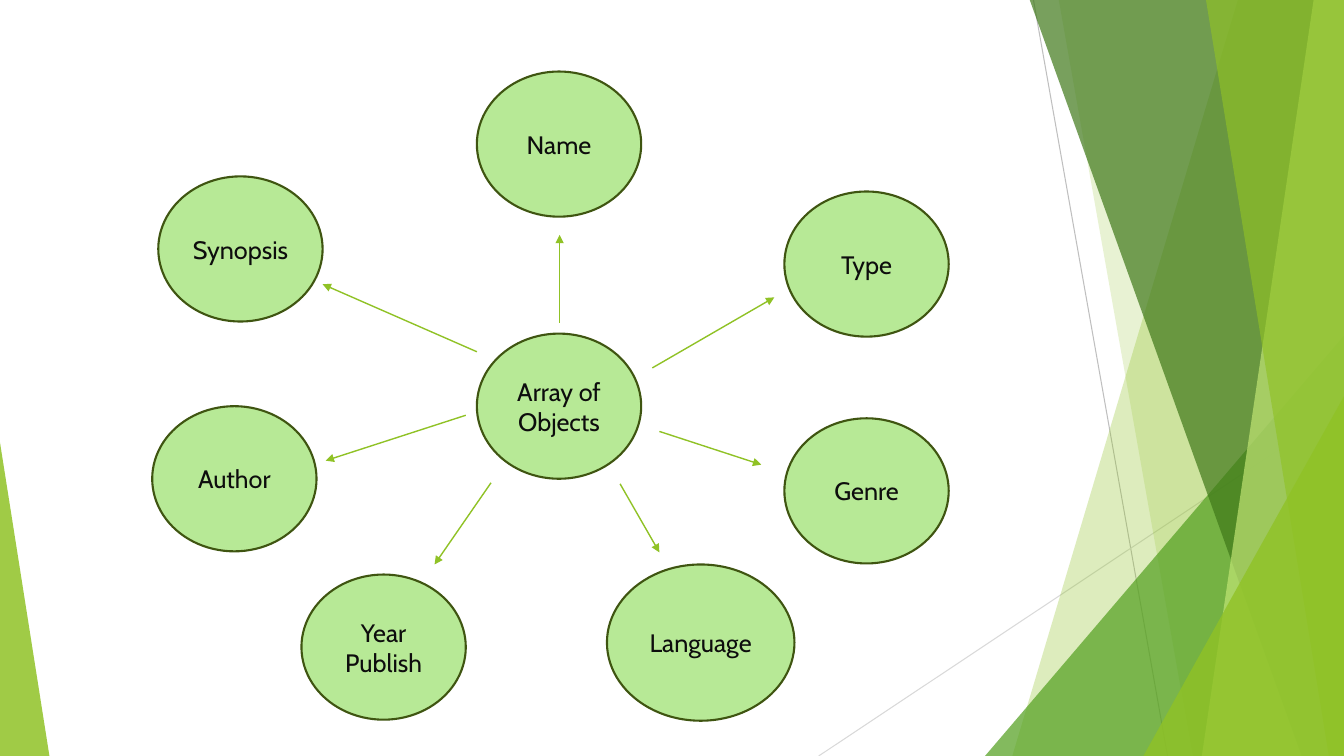
from lxml import etree
from pptx import Presentation
from pptx.dml.color import RGBColor
from pptx.enum import shapes, text
from pptx.oxml.ns import qn
from pptx.util import Inches, Pt

WIDTH, HEIGHT = 13.33, 7.5
GREEN = "90C226"

# Backdrop: thin lines as (start, end, colour)
THIN_LINES = [
    ((10.25, 0), (11.58, 7.5), "BFBFBF"),
    ((13.33, 4.03), (8.12, 7.5), "D9D9D9"),
]
# Bands reach the right edge: ("band", top x, bottom x), colour, opacity %
# Triangles stand on the bottom edge: ("triangle", left, top, width, apex)
BACKDROP = [
    (("band", 12.28, 10.04), GREEN, 30),
    (("band", 10.5, 11.83), GREEN, 20),
    (("triangle", 9.77, 3.33, 3.56, 1), "54A021", 72),
    (("band", 10.21, 12.91), "3F7819", 70),
    (("band", 13.03, 11.92), "C0E474", 70),
    (("band", 11.96, 13.18), GREEN, 65),
    (("triangle", 11.34, 3.93, 1.99, 1), GREEN, 80),
    (("triangle", 0, 4.39, 0.49, 0), GREEN, 85),
]

# Diagram: label, left, top, size
NODE, WIDE_NODE = (1.63, 1.44), (1.86, 1.55)
NODES = [
    ("Array of Objects", 4.73, 3.31, NODE),
    ("Name", 4.73, 0.71, NODE),
    ("Type", 7.78, 1.9, NODE),
    ("Genre", 7.78, 4.15, NODE),
    ("Language", 6.02, 5.6, WIDE_NODE),
    ("Year Publish", 2.99, 5.7, NODE),
    ("Author", 1.51, 4.03, NODE),
    ("Synopsis", 1.57, 1.75, NODE),
]
ARROWS = [
    ((4.73, 3.49), (3.2, 2.82)),
    ((5.55, 3.2), (5.55, 2.33)),
    ((6.54, 4.28), (7.55, 4.61)),
    ((6.47, 3.65), (7.68, 2.95)),
    ((4.62, 4.12), (3.23, 4.57)),
    ((4.87, 4.79), (4.31, 5.6)),
    ((6.15, 4.8), (6.54, 5.48)),
]


def paint(color_format, value):
    color_format.rgb = RGBColor.from_string(value)


def fill_shape(sp, value, opacity=100):
    sp.shadow.inherit = False
    sp.fill.solid()
    paint(sp.fill.fore_color, value)
    if opacity < 100:
        color = sp._element.spPr.find(qn("a:solidFill"))[0]
        etree.SubElement(color, qn("a:alpha"), val=str(opacity * 1000))


def add_line(s, start, end, value, width, arrow=False):
    line = s.shapes.add_connector(
        shapes.MSO_CONNECTOR.STRAIGHT, *map(Inches, start + end))
    paint(line.line.color, value)
    line.line.width = Pt(width)
    if arrow:
        etree.SubElement(line.line._get_or_add_ln(), qn("a:tailEnd"), type="triangle")
    etree.SubElement(line._element.spPr, qn("a:effectLst"))


def add_band(s, top_x, bottom_x):
    corners = [(top_x, -0.01), (WIDTH, -0.01), (WIDTH, HEIGHT), (bottom_x, HEIGHT)]
    points = [(Inches(x), Inches(y)) for x, y in corners]
    builder = s.shapes.build_freeform(*points[0])
    builder.add_line_segments(points[1:], close=True)
    return builder.convert_to_shape()


def add_triangle(s, left, top, width, apex):
    sp = s.shapes.add_shape(
        shapes.MSO_SHAPE.ISOSCELES_TRIANGLE,
        *map(Inches, (left, top, width, HEIGHT - top)))
    sp.adjustments[0] = apex
    return sp


def add_node(s, label, left, top, size):
    sp = s.shapes.add_shape(
        shapes.MSO_SHAPE.OVAL, *map(Inches, (left, top) + size))
    fill_shape(sp, "B7E996")
    paint(sp.line.color, "3F5511")
    sp.line.width = Pt(1.5)
    tf = sp.text_frame
    tf.word_wrap = True
    tf.vertical_anchor = text.MSO_ANCHOR.MIDDLE
    p = tf.paragraphs[0]
    p.text = label
    p.alignment = text.PP_ALIGN.CENTER
    p.font.name = "Cabin"
    p.font.size = Pt(18)
    paint(p.font.color, "0D0D0D")


def main():
    prs = Presentation()
    prs.slide_width, prs.slide_height = Inches(WIDTH), Inches(HEIGHT)
    s = prs.slides.add_slide(prs.slide_layouts[6])

    # Backdrop
    for start, end, value in THIN_LINES:
        add_line(s, start, end, value, 0.75)
    makers = {"band": add_band, "triangle": add_triangle}
    for (kind, *place), value, opacity in BACKDROP:
        sp = makers[kind](s, *place)
        fill_shape(sp, value, opacity)
        sp.line.fill.background()

    # Diagram
    for node in NODES:
        add_node(s, *node)
    for start, end in ARROWS:
        add_line(s, start, end, GREEN, 1, arrow=True)

    prs.save("out.pptx")


if __name__ == "__main__":
    main()
